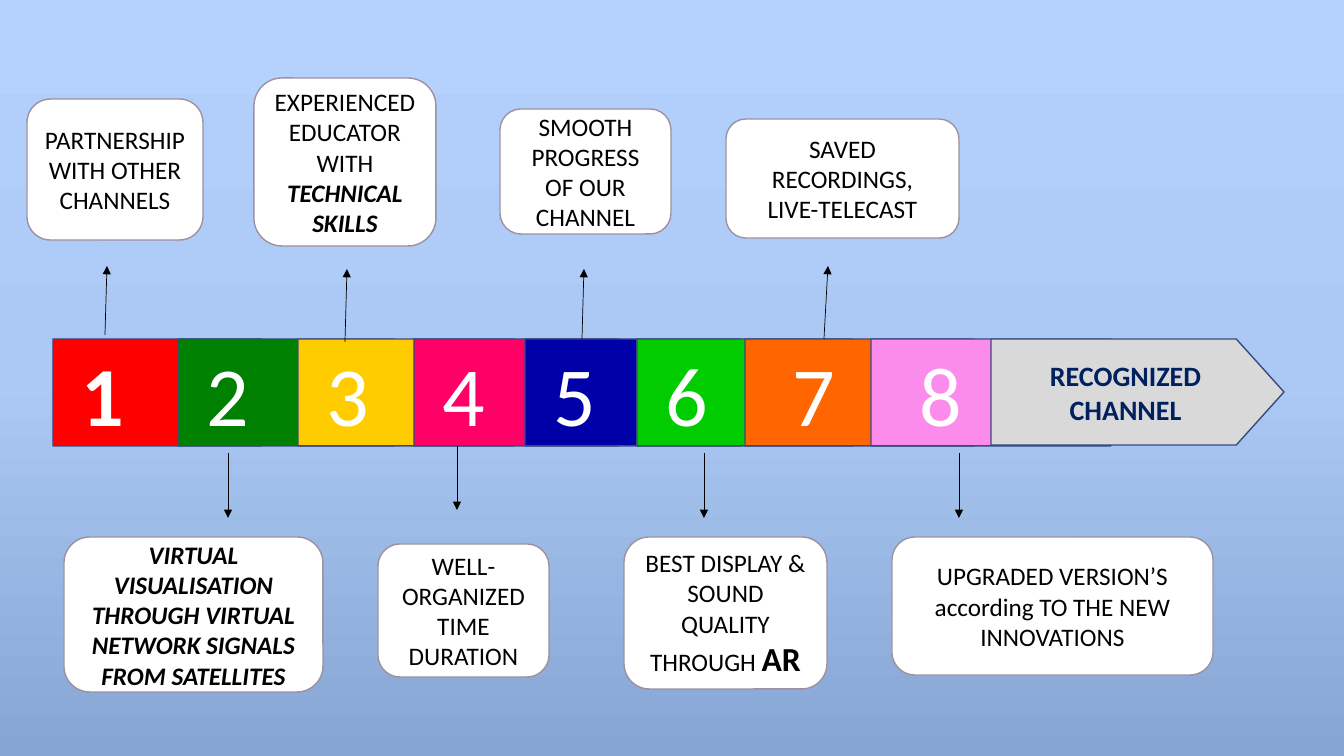
import copy

import pptx
import pptx.dml.color
import pptx.enum.shapes
import pptx.enum.text
import pptx.oxml
import pptx.oxml.ns
import pptx.util

PX = 914400 / 100.8
SHAPE = pptx.enum.shapes.MSO_SHAPE
ALIGN = pptx.enum.text.PP_ALIGN
BAND_TOP, BAND_HEIGHT = 339, 107
STRONG = {"bold": True, "italic": True}

# left, width, colour, numeral inset, numeral format
SEGMENTS = [
    (53, 269, "FF0000", 29, {"bold": True}),
    (178, 269, "008000", 29, {}),
    (298, 269, "FFCC00", 29, {}),
    (414, 258, "FF0066", 29, {}),
    (525, 269, "0000A8", 29, {}),
    (637, 269, "00CC00", 29, {}),
    (745, 282, "FF6600", 48, {}),
    (871, 293, "FC8CEC", 48, {}),
]

ARROWS = [
    (105, 335, 107, 266), (228, 453, 228, 518), (345, 342, 347, 269),
    (457, 446, 457, 510), (582, 339, 584, 269), (704, 453, 704, 518),
    (824, 339, 828, 266), (959, 453, 959, 518),
]

CALLOUTS = [
    ((27, 99, 176, 141), [[("PARTNERSHIP WITH OTHER CHANNELS", {})]]),
    ((64, 537, 259, 155), [[("VIRTUAL VISUALISATION THROUGH VIRTUAL NETWORK SIGNALS FROM SATELLITES", STRONG)]]),
    ((254, 78, 182, 168), [[("EXPERIENCED EDUCATOR WITH ", {}), ("TECHNICAL SKILLS", STRONG)]]),
    ((378, 544, 171, 133), [[("WELL-ORGANIZED TIME DURATION", {})]]),
    ((500, 109, 171, 125), [[("SMOOTH", {})], [("PROGRESS OF OUR CHANNEL", {})]]),
    ((624, 537, 203, 152), [[("BEST DISPLAY & SOUND QUALITY THROUGH ", {}),
                             ("AR", {"size": pptx.util.Pt(24), "bold": True})]]),
    ((726, 119, 233, 119), [[("SAVED RECORDINGS,", {})], [("LIVE-TELECAST", {})]]),
    ((892, 537, 321, 138), [[("UPGRADED VERSION’S according TO THE NEW INNOVATIONS", {})]]),
]


def px(length):
    """Turn a length in px into EMU."""
    return pptx.util.Emu(round(length * PX))


def rgb(code):
    """Turn a hex string into a colour."""
    return pptx.dml.color.RGBColor.from_string(code)


def write(shape, paragraphs, size, color, align):
    """Write paragraphs of (text, format) runs into a shape."""
    frame = shape.text_frame
    frame.word_wrap = True
    frame.vertical_anchor = pptx.enum.text.MSO_ANCHOR.MIDDLE
    for index, runs in enumerate(paragraphs):
        paragraph = frame.add_paragraph() if index else frame.paragraphs[0]
        paragraph.alignment = align
        for text, extra in runs:
            run = paragraph.add_run()
            run.text = text
            run.font.color.rgb = rgb(color)
            style = {"name": "Calibri", "size": pptx.util.Pt(size), **extra}
            for key, value in style.items():
                setattr(run.font, key, value)


def block(slide, kind, box, fill, line):
    """Place a filled and outlined preset shape in a box."""
    shape = slide.shapes.add_shape(kind, *map(px, box))
    shape.shadow.inherit = False
    shape.fill.solid()
    shape.fill.fore_color.rgb = rgb(fill)
    shape.line.color.rgb = rgb(line)
    shape.line.width = pptx.util.Pt(1)
    return shape


def background(slide):
    """Fill the slide with a vertical three-stop blue gradient."""
    fill = slide.background.fill
    fill.gradient()
    fill.gradient_angle = 270
    stops = slide.background._cSld.find(".//" + pptx.oxml.ns.qn("a:gsLst"))
    stops.insert(1, copy.deepcopy(stops[0]))
    colors = ("B5D1FD", "ACC9F5", "86A5D2")
    for index, (stop, color) in enumerate(zip(fill.gradient_stops, colors)):
        stop.position = index / 2
        stop.color.rgb = rgb(color)


def band(slide, top, height):
    """Draw the numbered segments and the closing goal arrow."""
    for number, (left, width, color, inset, style) in enumerate(SEGMENTS, 1):
        segment = block(slide, SHAPE.PENTAGON, (left, top, width, height), color, "374B7F")
        segment.text_frame.margin_left = px(inset)
        write(segment, [[(str(number), style)]], 60, "FFFFFF", ALIGN.LEFT)
        if number == 1:
            segment.adjustments[0] = 0.57
    goal = block(slide, SHAPE.PENTAGON, (991, top, 293, height - 1), "D9D9D9", "374B7F")
    goal.adjustments[0] = 0.45
    bold = {"bold": True}
    write(goal, [[("RECOGNIZED", bold)], [("CHANNEL", bold)]], 20, "002060", ALIGN.CENTER)


def arrow(slide, ends):
    """Draw a thin arrow from its first point to its second."""
    connector = slide.shapes.add_connector(
        pptx.enum.shapes.MSO_CONNECTOR.STRAIGHT, *map(px, ends))
    connector.line.color.rgb = rgb("000000")
    connector.line.width = pptx.util.Pt(0.5)
    head = pptx.oxml.parse_xml(f'<a:tailEnd {pptx.oxml.ns.nsdecls("a")} type="triangle"/>')
    connector.line._get_or_add_ln().append(head)
    effects = pptx.oxml.parse_xml(f'<a:effectLst {pptx.oxml.ns.nsdecls("a")}/>')
    connector._element.spPr.append(effects)


def callout(slide, box, paragraphs):
    """Place a white rounded callout with centred text."""
    note = block(slide, SHAPE.ROUNDED_RECTANGLE, box, "FFFFFF", "9D90A0")
    write(note, paragraphs, 18, "000000", ALIGN.CENTER)


def main():
    """Build and save the slide."""
    deck = pptx.Presentation()
    deck.slide_width, deck.slide_height = px(1344), px(756)
    slide = deck.slides.add_slide(deck.slide_layouts[6])
    background(slide)
    band(slide, BAND_TOP, BAND_HEIGHT)
    for ends in ARROWS:
        arrow(slide, ends)
    for box, paragraphs in CALLOUTS:
        callout(slide, box, paragraphs)
    deck.save("out.pptx")


if __name__ == "__main__":
    main()
